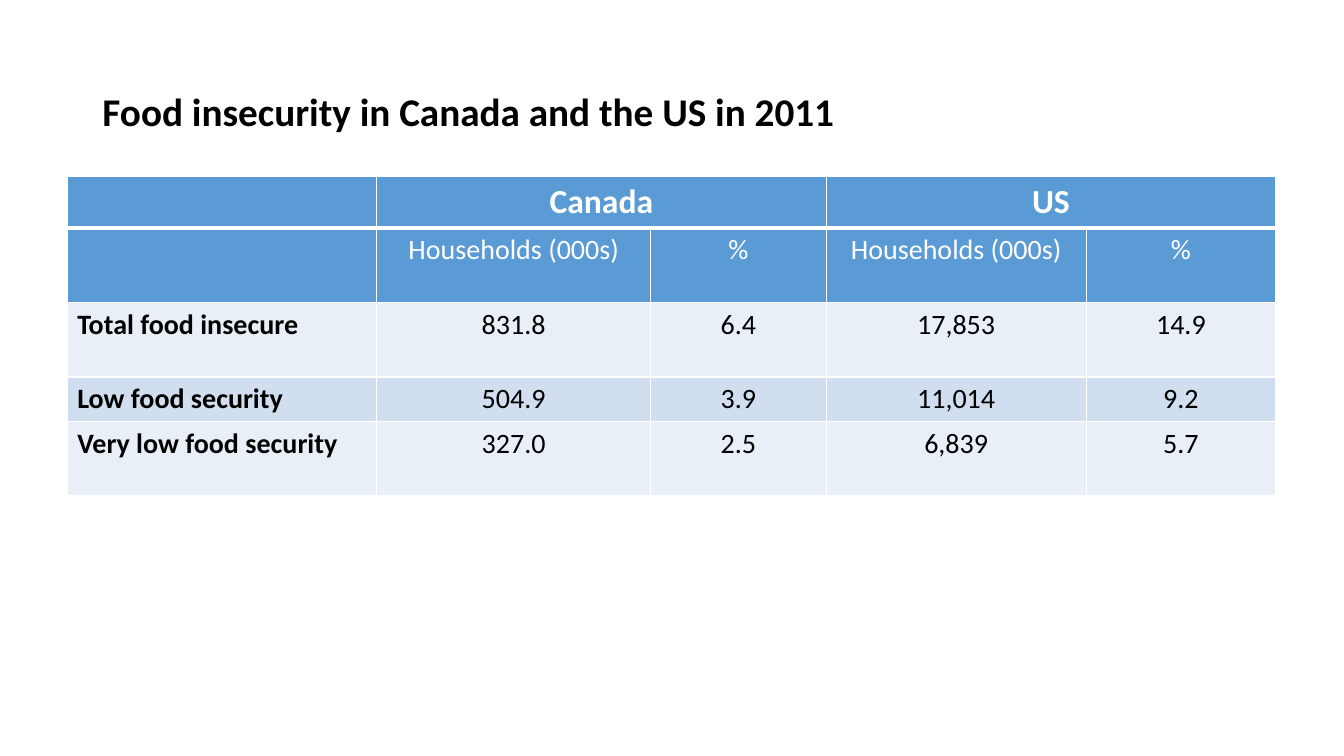
from lxml import etree
from pptx import Presentation
from pptx import util as u
from pptx.dml.color import RGBColor
from pptx.enum import text
from pptx.oxml import ns

TITLE = "Food insecurity in Canada and the US in 2011"
ROWS = [
    ["", "Canada", "", "US", ""],
    ["", "Households (000s)", "%", "Households (000s)", "%"],
    ["Total food insecure", "831.8", "6.4", "17,853", "14.9"],
    ["Low food security", "504.9", "3.9", "11,014", "9.2"],
    ["Very low food security", "327.0", "2.5", "6,839", "5.7"],
]
COUNTRY_COLUMNS = [1, 3]
HEADER_ROWS = 2
COLUMN_WIDTHS = [36.84, 32.64, 20.88, 30.96, 22.56]
ROW_HEIGHTS = [10.2, 14.8, 14.8, 8.8, 14.8]


def color(value):
    return RGBColor.from_string(value)


class SlideBuilder:
    """Style and current slide; lengths are steps of a 160 by 150 grid."""

    FONT = "Calibri"
    INK, WHITE, HEADER = "000000", "FFFFFF", "5B9BD5"
    BANDS = ["E9EFF7", "D1DEEF"]
    THIN, THICK = 0.96, 3

    def __init__(self, deck):
        self.column = deck.slide_width / 160
        self.row = deck.slide_height / 150
        self.page = deck.slides.add_slide(deck.slide_layouts[5])

    def across(self, columns):
        return u.Emu(round(columns * self.column))

    def down(self, rows):
        return u.Emu(round(rows * self.row))

    def style(self, para, size, ink, bold, align):
        para.alignment = align
        para.font.name = self.FONT
        para.font.size = u.Pt(size)
        para.font.bold = bold
        para.font.color.rgb = color(ink)

    def title(self, words, left, top, width, height):
        box = self.page.shapes.title
        box.left, box.top = self.across(left), self.down(top)
        box.width, box.height = self.across(width), self.down(height)
        frame = box.text_frame
        frame.text = words
        frame.vertical_anchor = text.MSO_ANCHOR.MIDDLE
        para = frame.paragraphs[0]
        para.line_spacing = 0.9
        self.style(para, 28, self.INK, True, text.PP_ALIGN.LEFT)

    def borders(self, cell, top, bottom):
        """Draw white cell borders; call before filling, as XML order matters."""
        properties = cell._tc.get_or_add_tcPr()
        widths = {"L": self.THIN, "R": self.THIN, "T": top, "B": bottom}
        for side, width in widths.items():
            line = etree.SubElement(properties, ns.qn(f"a:ln{side}"), w=str(u.Pt(width)))
            fill = etree.SubElement(line, ns.qn("a:solidFill"))
            etree.SubElement(fill, ns.qn("a:srgbClr"), val=self.WHITE)

    def cell(self, cell, words, row, column):
        header = row < HEADER_ROWS
        self.borders(cell,
                     self.THICK if row == 1 else self.THIN,
                     self.THICK if row == 0 else self.THIN)
        cell.fill.solid()
        band = self.BANDS[(row - HEADER_ROWS) % 2]
        cell.fill.fore_color.rgb = color(self.HEADER if header else band)
        if words:
            cell.text = words
            label = column == 0
            self.style(cell.text_frame.paragraphs[0],
                       24 if row == 0 else 20,
                       self.WHITE if header else self.INK,
                       row == 0 or label,
                       text.PP_ALIGN.LEFT if label else text.PP_ALIGN.CENTER)

    def table(self, rows, left, top, widths, heights):
        table = self.page.shapes.add_table(
            len(rows), len(widths), self.across(left), self.down(top),
            self.across(sum(widths)), self.down(sum(heights))).table
        for column, width in zip(table.columns, widths):
            column.width = self.across(width)
        for row, height in zip(table.rows, heights):
            row.height = self.down(height)
        for row, entries in enumerate(rows):
            for column, words in enumerate(entries):
                self.cell(table.cell(row, column), words, row, column)
        for column in COUNTRY_COLUMNS:
            table.cell(0, column).merge(table.cell(0, column + 1))


def main():
    deck = Presentation()
    deck.slide_width, deck.slide_height = u.Inches(13.33), u.Inches(7.5)
    slide = SlideBuilder(deck)
    slide.title(TITLE, 11, 8, 138, 29)
    slide.table(ROWS, 8, 35, COLUMN_WIDTHS, ROW_HEIGHTS)
    deck.save("out.pptx")


if __name__ == "__main__":
    main()
